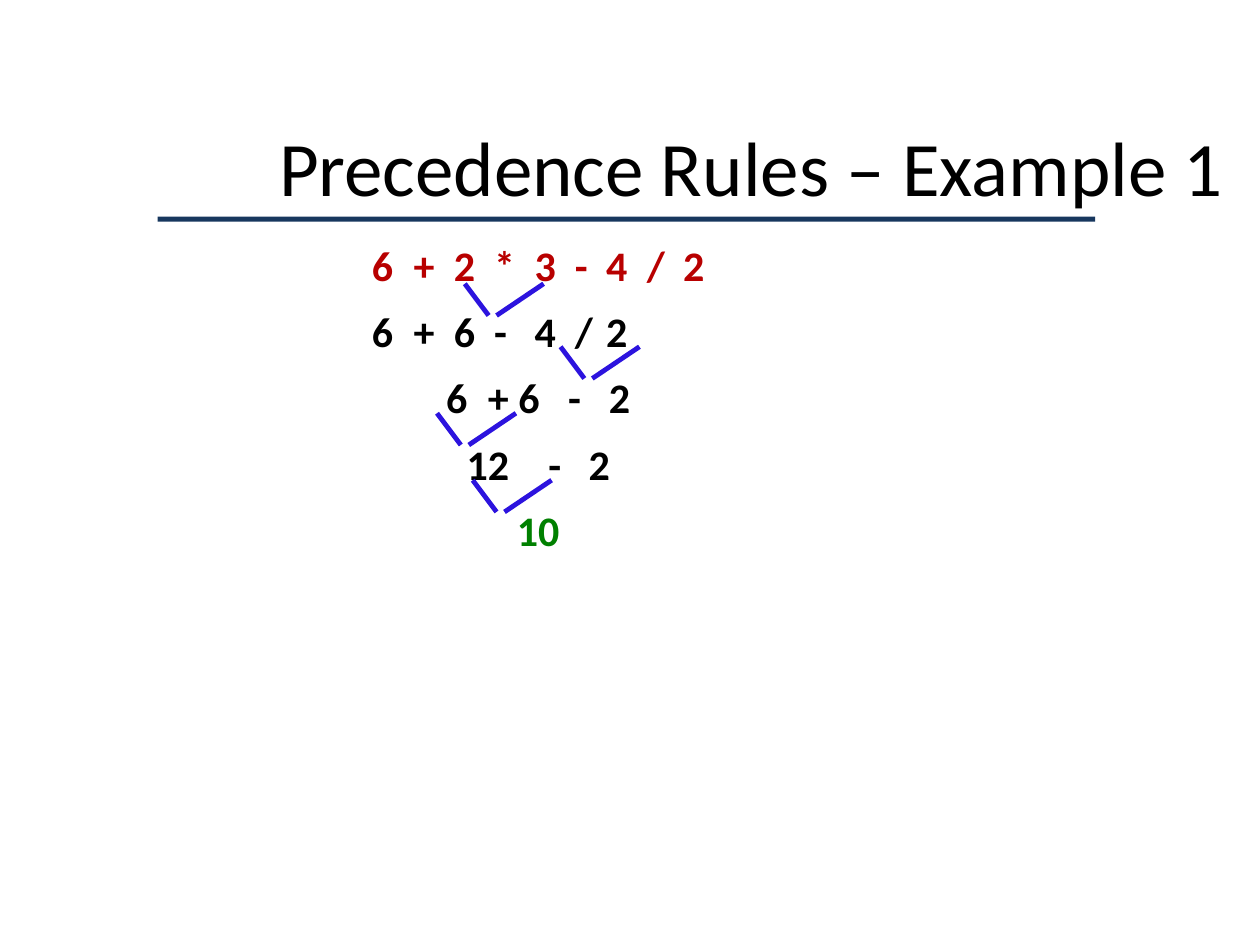
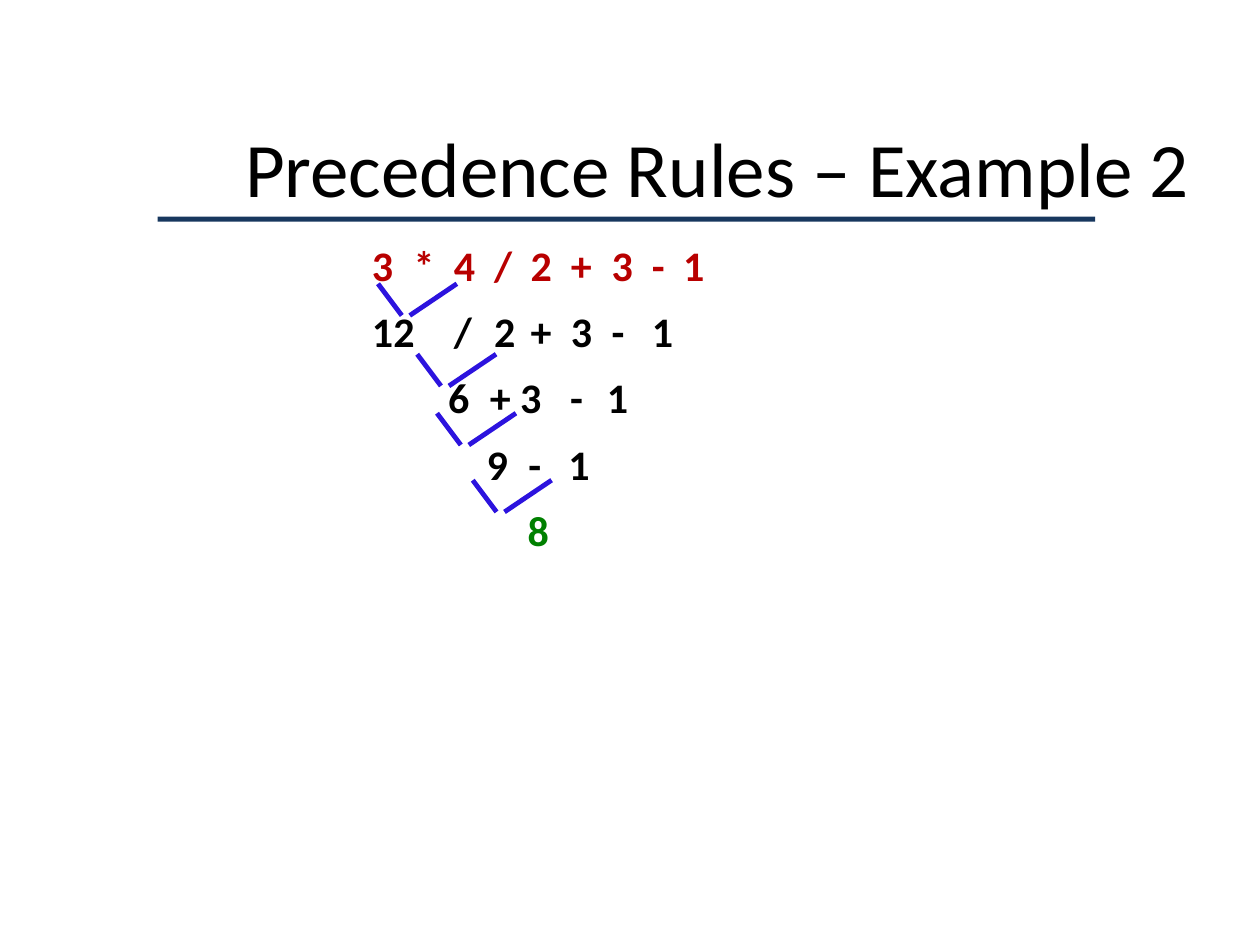
from dataclasses import dataclass

from lxml.etree import SubElement
from pptx import Presentation
from pptx.dml.color import RGBColor as Rgb
from pptx.enum.shapes import MSO_CONNECTOR as Link, MSO_SHAPE as Shape
from pptx.enum.text import MSO_ANCHOR as Anchor, MSO_AUTO_SIZE as Fit, PP_ALIGN as Align
from pptx.oxml.ns import qn
from pptx.util import Cm, Pt


@dataclass(frozen=True)
class Theme:
    font: str = "Calibri"
    head: Pt = Pt(44)
    body: Pt = Pt(24)
    line: Pt = Pt(2.75)
    ink: Rgb = Rgb(0, 0, 0)
    start: Rgb = Rgb(0xB8, 0, 0)
    answer: Rgb = Rgb(0, 0x80, 0)
    rule: Rgb = Rgb(0x17, 0x37, 0x5E)
    join: Rgb = Rgb(0x2C, 0x13, 0xDE)


THEME = Theme()
TITLE_ONLY = 5

# Steps go from the full expression to the result;
# joins are the top left corners of the marks, in cm.
EXAMPLES = [
    {
        "title": "Precedence Rules – Example 1",
        "box": (5.44, 2.34, 19.43, 1.96),
        "steps": ["6\t+\t2\t*\t3\t-\t4\t/\t2", "6\t+\t6\t-\t4\t/\t2",
                  "6\t+ 6\t-\t2", "12\t-\t2", "10"],
        "tabs": (0.84, 1.65, 2.46, 3.28, 4.09, 4.72, 5.54, 6.27),
        "joins": [(9.37, 5.72), (11.3, 6.99), (8.81, 8.33), (9.53, 9.68)],
    },
    {
        "title": "Precedence Rules – Example 2",
        "box": (4.6, 2.36, 19.74, 1.96),
        "steps": ["3\t*\t4\t/\t2\t+\t3\t-\t1", "12\t/\t2\t+\t3\t-\t1",
                  "6\t+ 3\t-\t1", "9\t-\t1", "8"],
        "tabs": (0.84, 1.65, 2.46, 3.2, 4.01, 4.83, 5.64, 6.27),
        "joins": [(7.62, 5.72), (8.41, 7.14), (8.81, 8.33), (9.53, 9.68)],
    },
]


def apply(item, **values):
    for name, value in values.items():
        setattr(item, name, value)


def cms(*sizes):
    return [Cm(size) for size in sizes]


def set_frame(frame, top, anchor):
    apply(frame, word_wrap=True, auto_size=Fit.SHAPE_TO_FIT_TEXT,
          vertical_anchor=anchor, margin_left=0, margin_right=0,
          margin_top=Cm(top), margin_bottom=0)


def write(para, text, size, color, align, before, bold=False):
    run = para.add_run()
    run.text = text
    apply(run.font, name=THEME.font, size=size, bold=bold)
    run.font.color.rgb = color
    apply(para, alignment=align, space_before=Pt(before))


def set_tabs(para, stops):
    props = para._p.get_or_add_pPr()
    props.set("marL", str(Cm(0.03)))
    tabs = SubElement(props, qn("a:tabLst"))
    for stop in stops:
        SubElement(tabs, qn("a:tab"), pos=str(Cm(stop)), algn="l")


def add_title(slide, text, box):
    title = slide.shapes.title
    apply(title, **dict(zip(("left", "top", "width", "height"), cms(*box))))
    set_frame(title.text_frame, 0.03, Anchor.MIDDLE)
    write(title.text_frame.paragraphs[0], text, THEME.head, THEME.ink,
          Align.CENTER, 0.8)


def add_rule(slide):
    rule = slide.shapes.add_shape(Shape.RECTANGLE, *cms(3.18, 4.37, 18.9, 0.1))
    rule.shadow.inherit = False
    rule.fill.solid()
    rule.fill.fore_color.rgb = THEME.rule
    rule.line.fill.background()


def add_steps(slide, steps, tabs):
    frame = slide.shapes.add_textbox(*cms(7.47, 4.47, 6.73, 6.76)).text_frame
    set_frame(frame, 0.36, Anchor.TOP)
    colors = [THEME.start] + [THEME.ink] * (len(steps) - 2) + [THEME.answer]
    for i, (step, color) in enumerate(zip(steps, colors)):
        para = frame.add_paragraph() if i else frame.paragraphs[0]
        write(para, step, THEME.body, color,
              Align.LEFT if i < 2 else Align.CENTER, 9 if i else 9.8, True)
        set_tabs(para, tabs)


def add_join(slide, x, y):
    """Two strokes that lead from the operands down to their result."""
    group = slide.shapes.add_group_shape()
    for start, end in ((0, 0.48), (1.59, 0.64)):
        stroke = group.shapes.add_connector(
            Link.STRAIGHT, *cms(x + start, y, x + end, y + 0.64))
        stroke.line.width = THEME.line
        stroke.line.color.rgb = THEME.join
        SubElement(stroke._element.spPr, qn("a:effectLst"))


def main():
    deck = Presentation()
    apply(deck, slide_width=Cm(25.4), slide_height=Cm(19.05))
    for case in EXAMPLES:
        slide = deck.slides.add_slide(deck.slide_layouts[TITLE_ONLY])
        add_title(slide, case["title"], case["box"])
        add_steps(slide, case["steps"], case["tabs"])
        add_rule(slide)
        for x, y in case["joins"]:
            add_join(slide, x, y)
    deck.save("out.pptx")


if __name__ == "__main__":
    main()
